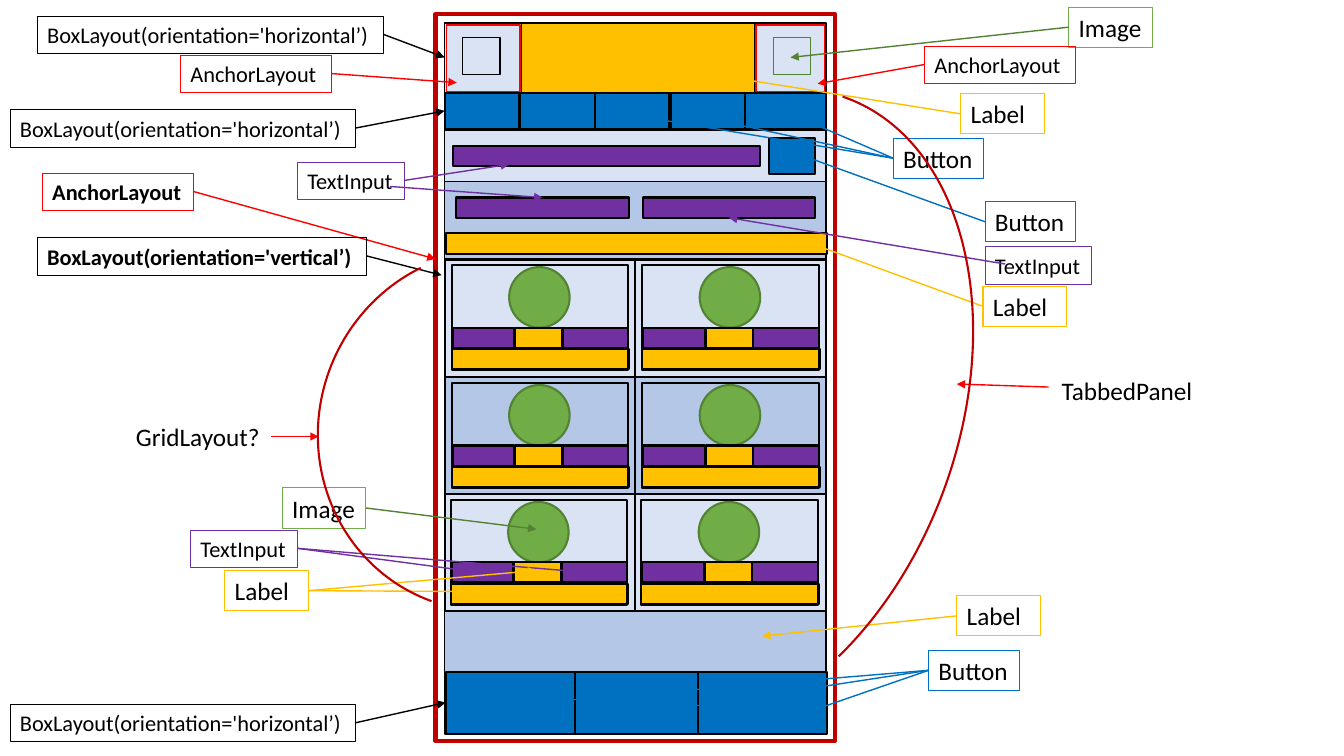
from pptx import Presentation
from pptx import util as u
from pptx.dml.color import RGBColor
from pptx.enum import shapes, text
from pptx.oxml.ns import qn
from lxml import etree

PX = 9144
BLACK, RED, DARK_RED = "000000", "FF0000", "C00000"
PALE, SOFT, BLUE = "DAE3F3", "B4C7E7", "0070C0"
PURPLE, YELLOW, GREEN, DARK_GREEN = "7030A0", "FFC000", "70AD47", "548235"
RECTANGLE = shapes.MSO_SHAPE.RECTANGLE
HORIZONTAL = "BoxLayout(orientation='horizontal’)"
VERTICAL = "BoxLayout(orientation='vertical’)"

LABEL_STYLES = {
    HORIZONTAL: (343, 16, BLACK, BLACK),
    VERTICAL: (327, 16, BLACK, BLACK),
    "AnchorLayout": (150, 16, RED, RED),
    "TextInput": (106, 16, PURPLE, PURPLE),
    "Image": (83, 18, GREEN, DARK_GREEN),
    "Label": (83, 18, YELLOW, YELLOW),
    "Button": (90, 18, BLUE, BLUE),
    "GridLayout?": (144, 18, None, RED),
    "TabbedPanel": (151, 18, None, RED),
}


def px(*lengths):
    """Turn px lengths into EMU."""
    return [u.Emu(round(length * PX)) for length in lengths]


def color(hex_string):
    """Turn a hex string into a colour."""
    return RGBColor.from_string(hex_string)


def add_block(slide, left, top, width, height, fill=None, line=BLACK, weight=1.5, kind=RECTANGLE):
    """Add a preset shape with a flat fill and outline."""
    shape = slide.shapes.add_shape(kind, *px(left, top, width, height))
    shape.shadow.inherit = False
    if fill:
        shape.fill.solid()
        shape.fill.fore_color.rgb = color(fill)
    else:
        shape.fill.background()
    shape.line.color.rgb = color(line)
    shape.line.width = u.Pt(weight)
    return shape


def add_text(slide, words, left, top, width, height, size=18, bold=None, outline=None):
    """Add a one-line text box, outlined if a colour is given."""
    shape = slide.shapes.add_textbox(*px(left, top, width, height))
    frame = shape.text_frame
    frame.word_wrap = False
    frame.auto_size = text.MSO_AUTO_SIZE.SHAPE_TO_FIT_TEXT
    run = frame.paragraphs[0].add_run()
    run.text = words
    run.font.name = "Calibri"
    run.font.size = u.Pt(size)
    run.font.bold = bold
    run.font.color.rgb = color(BLACK)
    if outline:
        shape.line.color.rgb = color(outline)
        shape.line.width = u.Pt(0.75)


def add_arrow(slide, start, end, line):
    """Add a straight arrow between two points."""
    arrow = slide.shapes.add_connector(shapes.MSO_CONNECTOR.STRAIGHT, *px(*start, *end))
    arrow.line.color.rgb = color(line)
    arrow.line.width = u.Pt(1)
    properties = arrow._element.spPr
    etree.SubElement(properties.find(qn("a:ln")), qn("a:tailEnd"), type="triangle")
    etree.SubElement(properties, qn("a:effectLst"))


def add_arc(slide, left, top, width, height, rotation, start):
    """Add a rotated dark red arc."""
    arc = add_block(slide, left, top, width, height, line=DARK_RED, kind=shapes.MSO_SHAPE.ARC)
    arc.adjustments[0] = start
    arc.adjustments[1] = 27.733
    arc.rotation = rotation


def draw_header(slide, left, top, width, height):
    """Draw the title bar with an anchored icon at each end."""
    add_block(slide, left, top, width, height, PALE, weight=1)
    add_block(slide, left + 76, top, 232, height, YELLOW, weight=1)
    for offset, anchor_width, icon, line in ((2, 73, 18, BLACK), (309, 68, 326, DARK_GREEN)):
        add_block(slide, left + icon, top + 14, 37, 37, line=line, weight=1)
        add_block(slide, left + offset, top + 2, anchor_width, height - 3, line=RED, weight=1)


def draw_tabs(slide, left, top, width, height):
    """Draw the row of five tab buttons."""
    add_block(slide, left, top, width, height, BLUE, weight=1)
    for index in range(5):
        tab_width = 80 if index == 4 else 74
        add_block(slide, left + (149 * index + 1) // 2, top, tab_width, height - 1)


def draw_form(slide, left, top, width):
    """Draw the search row, the pair of inputs and the label strip."""
    add_block(slide, left, top, width, 51, PALE, weight=1)
    add_block(slide, left, top + 51, width, 77, SOFT, weight=1)
    add_block(slide, left + 8, top + 16, 305, 20, PURPLE)
    add_block(slide, left + 322, top + 8, 45, 36, BLUE)
    add_block(slide, left + 11, top + 67, 172, 20, PURPLE)
    add_block(slide, left + 197, top + 67, 170, 20, PURPLE)
    add_block(slide, left + 1, top + 102, width, 21, YELLOW)


def draw_card(slide, left, top):
    """Draw one product card: image, inputs and labels."""
    add_block(slide, left + 57, top + 2, 60, 60, GREEN, DARK_GREEN, kind=shapes.MSO_SHAPE.OVAL)
    for offset, width, fill in ((1, 61, PURPLE), (110, 65, PURPLE), (63, 47, YELLOW)):
        add_block(slide, left + offset, top + 62, width, 20, fill)
    add_block(slide, left, top + 83, 176, 20, YELLOW)
    add_block(slide, left, top, 175, 104)


def draw_grid(slide, left, top, width):
    """Draw three striped rows of two cards."""
    for row, fill in enumerate((PALE, SOFT, PALE)):
        row_top = top + 117 * row - row // 2
        add_block(slide, left, row_top, width, 117, fill, weight=1)
        for column in range(2):
            cell_left = left + 189 * column
            add_block(slide, cell_left, top + 1 + 116 * row, 189, 116)
            draw_card(slide, cell_left + 7 - row // 2, row_top + 6)


def draw_footer(slide, left, top, width, height):
    """Draw the label area above the three bottom buttons."""
    add_block(slide, left, top, width, height, SOFT, weight=1)
    add_block(slide, left, top + height, width, height, weight=1)
    for offset, button_width in ((1, 128), (129, 123), (251, 128)):
        add_block(slide, left + offset, top + height, button_width, height, BLUE)


def draw_screen(slide, left, top, width, height):
    """Draw the app screen inside its outer frame."""
    add_block(slide, left, top, width, height, line=DARK_RED, weight=3)
    left, top, width = left + 9, top + 9, width - 18
    add_block(slide, left, top, width, height - 16)
    draw_header(slide, left, top, width, 69)
    draw_tabs(slide, left, top + 69, width, 37)
    draw_form(slide, left, top + 106, width)
    draw_grid(slide, left, top + 234, width)
    draw_footer(slide, left, top + 583, width, 61)


def draw_callout(slide, words, left, top, *targets, bold=None, starts=None):
    """Draw a label with arrows from its nearer side to the targets."""
    width, size, outline, line = LABEL_STYLES[words]
    height = 37 if size == 16 else 40
    add_text(slide, words, left, top, width, height, size=size, bold=bold, outline=outline)
    for index, target in enumerate(targets):
        side = left + width if target[0] > left else left
        start = (starts or {}).get(index, (side, top + height // 2))
        add_arrow(slide, start, target, line)


def draw_left_callouts(slide):
    """Draw the labels left of the screen."""
    draw_callout(slide, HORIZONTAL, 37, 16, (441, 57))
    draw_callout(slide, "AnchorLayout", 179, 55, (453, 82))
    draw_callout(slide, HORIZONTAL, 10, 109, (441, 110))
    draw_callout(slide, "TextInput", 295, 161, (505, 163), (538, 196), starts={1: (387, 185)})
    draw_callout(slide, "AnchorLayout", 42, 172, (432, 257), bold=True)
    draw_callout(slide, VERTICAL, 37, 236, (438, 273), bold=True)
    draw_callout(slide, "GridLayout?", 125, 413, (316, 433))
    draw_callout(slide, "Image", 280, 484, (532, 525))
    draw_callout(slide, "TextInput", 189, 526, (461, 566), (584, 568))
    draw_callout(slide, "Label", 223, 566, (532, 566), (500, 587))
    draw_callout(slide, HORIZONTAL, 10, 699, (442, 697))
    add_arc(slide, 316, 247, 346, 360, 199.8, 162)


def draw_right_callouts(slide):
    """Draw the labels right of the screen."""
    draw_callout(slide, "Image", 1060, 7, (784, 57))
    draw_callout(slide, "AnchorLayout", 917, 46, (811, 83))
    draw_callout(slide, "Label", 953, 93, (638, 63))
    draw_callout(slide, "Button", 886, 137, (784, 113), (696, 116), (620, 113))
    draw_callout(slide, "Button", 977, 200, (795, 154))
    draw_callout(slide, "TextInput", 977, 245, (723, 216), starts={0: (997, 262)})
    draw_callout(slide, "Label", 975, 284, (803, 241))
    draw_callout(slide, "TabbedPanel", 1043, 367, (949, 381), starts={0: (1040, 384)})
    draw_callout(slide, "Label", 949, 591, (756, 631))
    draw_callout(slide, "Button", 921, 645, (782, 713), (510, 699), (665, 704))
    add_arc(slide, 501, 77, 449, 663, 20.1, 161.596)


def main():
    """Build and save the slide."""
    presentation = Presentation()
    presentation.slide_width, presentation.slide_height = px(1333, 750)
    slide = presentation.slides.add_slide(presentation.slide_layouts[6])
    draw_screen(slide, 432, 14, 396, 721)
    draw_left_callouts(slide)
    draw_right_callouts(slide)
    presentation.save("out.pptx")


if __name__ == "__main__":
    main()
